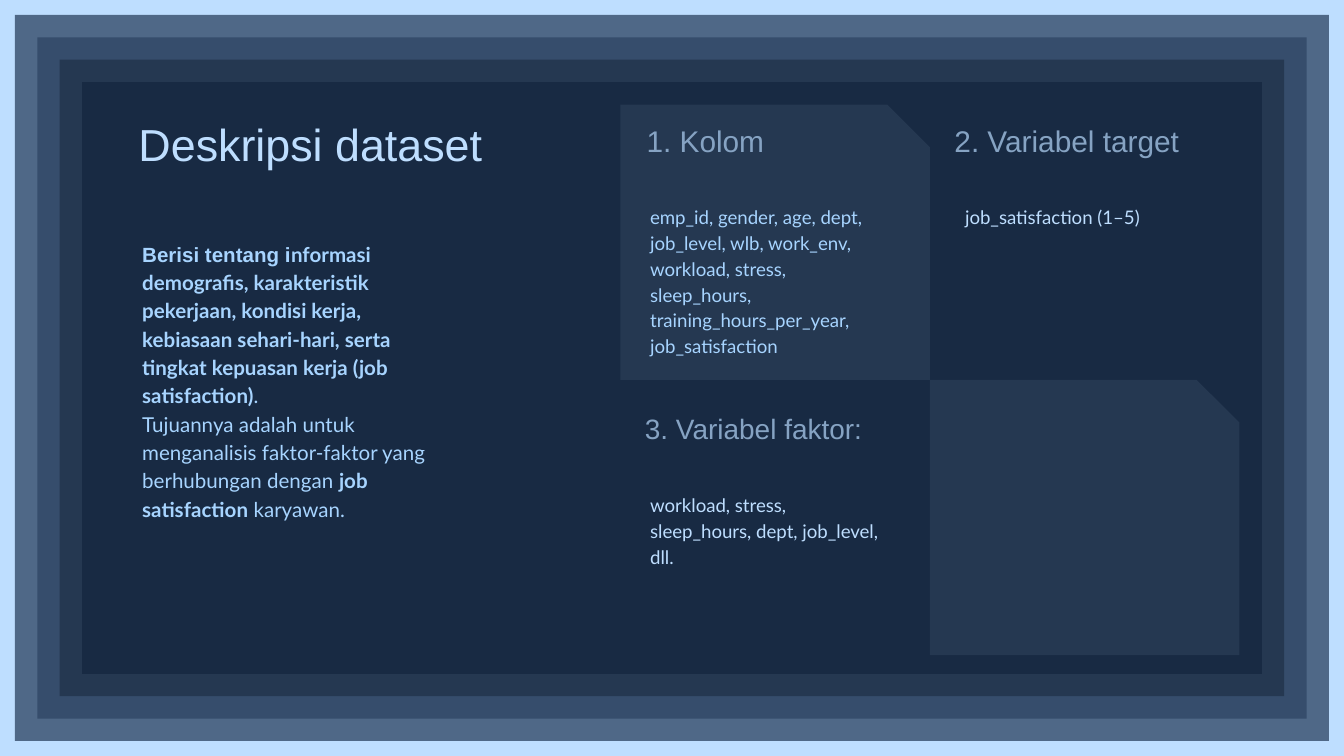
from pptx import Presentation
from pptx.dml.color import RGBColor
from pptx.enum.shapes import MSO_SHAPE as Shape
from pptx.enum.text import MSO_ANCHOR as Anchor
from pptx.util import Pt

WIDTH, HEIGHT = 720, 405
COLORS = {
    "sky": "BEDEFF",
    "light": "A7D4FF",
    "muted": "86A3C3",
    "outer": "4F6887",
    "middle": "364D6C",
    "card": "253851",
    "navy": "182A43",
}
CARD_LEFT, CARD_TOP = 332.4, 56
CARD_WIDTH, CARD_HEIGHT = 165.75, 147.5


def color(name):
    return RGBColor.from_string(COLORS[name])


def add_panel(slide, kind, left, top, width, height, fill):
    shape = slide.shapes.add_shape(kind, Pt(left), Pt(top), Pt(width), Pt(height))
    shape.shadow.inherit = False
    shape.fill.solid()
    shape.fill.fore_color.rgb = color(fill)
    shape.line.fill.background()
    return shape


def add_frames(slide):
    for index, fill in enumerate(("outer", "middle", "card", "navy")):
        margin = 8 + 12 * index
        add_panel(slide, Shape.RECTANGLE, margin, margin,
                  WIDTH - 2 * margin, HEIGHT - 2 * margin, fill)


def add_card(slide, column, row):
    card = add_panel(slide, Shape.SNIP_1_RECTANGLE,
                     CARD_LEFT + column * CARD_WIDTH, CARD_TOP + row * CARD_HEIGHT,
                     CARD_WIDTH, CARD_HEIGHT, "card")
    card.adjustments[0] = 0.155


def add_text(slide, left, top, width, height, paragraphs, size, fill,
             font="Arial", spacing=1.0, inset_top=0):
    box = slide.shapes.add_textbox(Pt(left), Pt(top), Pt(width), Pt(height))
    frame = box.text_frame
    frame.word_wrap = True
    frame.vertical_anchor = Anchor.TOP
    frame.margin_left = frame.margin_bottom = 0
    frame.margin_right = Pt(7.2)
    frame.margin_top = Pt(inset_top)
    for index, runs in enumerate(paragraphs):
        paragraph = frame.add_paragraph() if index else frame.paragraphs[0]
        paragraph.line_spacing = spacing
        for text, bold, *run_font in runs:
            run = paragraph.add_run()
            run.text = text
            run.font.name = run_font[0] if run_font else font
            run.font.size = Pt(size)
            run.font.bold = bold
            run.font.color.rgb = color(fill)


def add_heading(slide, left, top, width, height, text, size=16, fill="muted"):
    add_text(slide, left, top, width, height, [[(text, False)]], size, fill)


def add_detail(slide, left, top, text, fill="sky"):
    add_text(slide, left, top, 134, 60.5, [[(text, False)]], 10, fill, "Lato", 1.15)


def add_description(slide):
    paragraphs = [
        [("Berisi tentang i", True, "Arial"),
         ("nformasi demografis, karakteristik pekerjaan, kondisi kerja, "
          "kebiasaan sehari-hari, serta tingkat kepuasan kerja "
          "(job satisfaction)", True),
         (".", False)],
        [("Tujuannya adalah untuk menganalisis faktor-faktor yang "
          "berhubungan dengan ", False),
         ("job satisfaction", True),
         (" karyawan.", False)],
    ]
    add_text(slide, 76.2, 111.6, 163.5, 201, paragraphs, 11, "light",
             "Lato", 1.15, inset_top=16)


def main():
    presentation = Presentation()
    presentation.slide_width, presentation.slide_height = Pt(WIDTH), Pt(HEIGHT)
    slide = presentation.slides.add_slide(presentation.slide_layouts[6])
    slide.background.fill.solid()
    slide.background.fill.fore_color.rgb = color("sky")

    add_frames(slide)
    add_card(slide, 0, 0)
    add_card(slide, 1, 1)

    add_heading(slide, 74.2, 62.6, 225.4, 64, "Deskripsi dataset", 24, "sky")
    add_description(slide)

    add_heading(slide, 346.4, 65.5, 134, 38, "1. Kolom")
    add_detail(slide, 348.3, 108.7,
               "emp_id, gender, age, dept, job_level, wlb, work_env, workload, "
               "stress, sleep_hours, training_hours_per_year, job_satisfaction",
               "light")
    add_heading(slide, 511.3, 65.5, 146, 38, "2. Variabel target")
    add_detail(slide, 517, 108.7, "job_satisfaction (1–5)")
    add_heading(slide, 345.5, 220.3, 139.7, 35.3, "3. Variabel faktor:", 15)
    add_detail(slide, 348.3, 262.8,
               "workload, stress, sleep_hours, dept, job_level, dll.")

    presentation.save("out.pptx")


if __name__ == "__main__":
    main()
